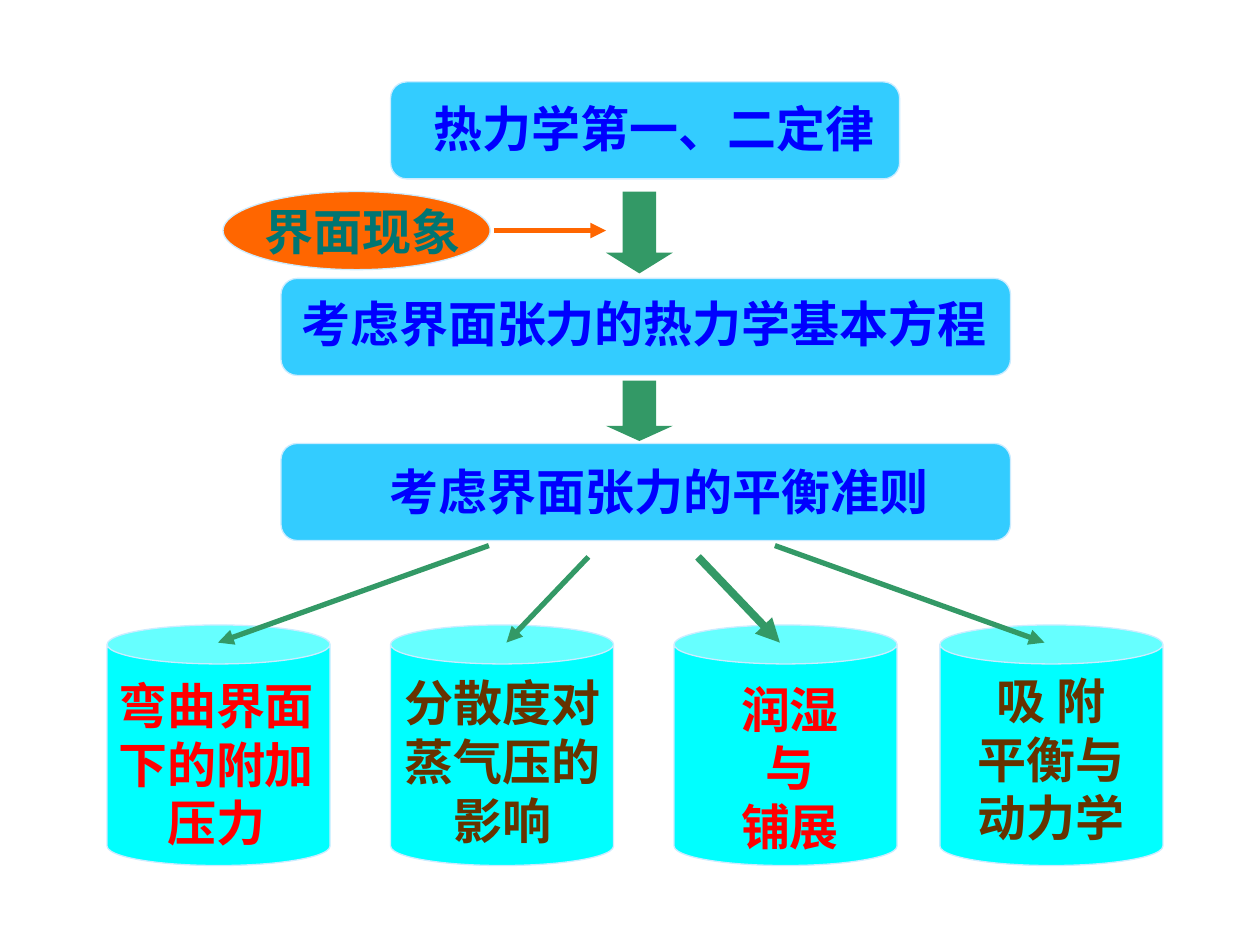
from lxml import etree
from pptx import Presentation
from pptx.dml.color import RGBColor
from pptx.enum import shapes, text
from pptx.oxml import ns
from pptx.util import Inches, Pt

WHITE = RGBColor(0xFF, 0xFF, 0xFF)
OUTLINE = RGBColor(0xCC, 0xEC, 0xFF)
SKY = RGBColor(0x33, 0xCC, 0xFF)
CYAN = RGBColor(0x00, 0xFF, 0xFF)
ORANGE = RGBColor(0xFF, 0x66, 0x00)
GREEN = RGBColor(0x33, 0x99, 0x66)
TEAL = RGBColor(0x00, 0x75, 0x72)
BLUE = RGBColor(0x00, 0x00, 0xFF)
RED = RGBColor(0xFF, 0x00, 0x00)
BROWN = RGBColor(0x66, 0x33, 0x00)

SERIF = "Times New Roman"
SANS = "Noto Sans CJK SC"
PRESET = shapes.MSO_SHAPE


def add_block(slide, preset, box, fill, outline=None, adjustments=()):
    """Add a filled preset shape, with a thin outline if a colour is given."""
    shape = slide.shapes.add_shape(preset, *map(Inches, box))
    shape.shadow.inherit = False
    shape.fill.solid()
    shape.fill.fore_color.rgb = fill
    if outline is None:
        shape.line.fill.background()
    else:
        shape.line.color.rgb = outline
        shape.line.width = Pt(0.75)
    for index, value in enumerate(adjustments):
        shape.adjustments[index] = value


def add_label(slide, box, lines, color, font_name=SERIF, wrap=False):
    """Add a bold centred label with one paragraph per line."""
    frame = slide.shapes.add_textbox(*map(Inches, box)).text_frame
    frame.word_wrap = wrap
    frame.auto_size = text.MSO_AUTO_SIZE.SHAPE_TO_FIT_TEXT
    frame.vertical_anchor = text.MSO_ANCHOR.MIDDLE
    for index, line in enumerate(lines):
        paragraph = frame.add_paragraph() if index else frame.paragraphs[0]
        paragraph.alignment = text.PP_ALIGN.CENTER
        run = paragraph.add_run()
        run.text = line
        run.font.name = font_name
        run.font.size = Pt(28)
        run.font.bold = True
        run.font.color.rgb = color


def add_arrow(slide, start, end, color, width=3):
    """Add a straight line with a triangular head at its end."""
    connector = slide.shapes.add_connector(
        shapes.MSO_CONNECTOR.STRAIGHT, *map(Inches, start + end))
    connector.line.color.rgb = color
    connector.line.width = Pt(width)
    etree.SubElement(connector.line._get_or_add_ln(), ns.qn("a:tailEnd"), type="triangle")
    etree.SubElement(connector._element.spPr, ns.qn("a:effectLst"))


def add_steps(slide):
    """Add the three stacked steps and the block arrows between them."""
    steps = [
        ((3.1, 0.65, 4.04, 0.77), (2.7, 0.73, 4.98, 0.57), "热力学第一、二定律", True),
        ((2.23, 2.21, 5.79, 0.77), (2.27, 2.28, 5.68, 0.57), "考虑界面张力的热力学基本方程", False),
        ((2.23, 3.52, 5.79, 0.77), (2.98, 3.61, 4.5, 0.57), "考虑界面张力的平衡准则", False),
    ]
    for block, label, wording, wrap in steps:
        add_block(slide, PRESET.FLOWCHART_ALTERNATE_PROCESS, block, SKY, OUTLINE)
        add_label(slide, label, [wording], BLUE, wrap=wrap)
    for top, height, head in [(1.52, 0.65, 0.31), (3.02, 0.48, 0.25)]:
        add_block(slide, PRESET.DOWN_ARROW, (4.81, top, 0.53, height), GREEN,
                  adjustments=(0.5, head))


def add_phenomenon(slide):
    """Add the side ellipse and its arrow into the flow."""
    add_block(slide, PRESET.OVAL, (1.77, 1.52, 2.12, 0.62), ORANGE, OUTLINE)
    add_label(slide, (1.99, 1.55, 1.77, 0.57), ["界面现象"], TEAL, SANS)
    add_arrow(slide, (3.92, 1.83), (4.81, 1.83), ORANGE)


def add_applications(slide):
    """Add the four cylinders, their labels and the arrows that reach them."""
    applications = [
        (0.85, (0.83, 5.31, 1.77, 1.5), ["弯曲界面下的附加压力"], RED, True,
         (3.88, 4.33), (1.73, 5.1), 3),
        (3.1, (3.07, 5.29, 1.83, 1.5), ["分散度对蒸气压的影响"], BROWN, True,
         (4.67, 4.42), (4.02, 5.1), 3),
        (5.35, (5.78, 5.34, 0.98, 1.5), ["润湿", "与", "铺展"], RED, False,
         (5.54, 4.42), (6.19, 5.1), 4.5),
        (7.46, (7.47, 5.27, 1.74, 1.5), ["吸 附", "平衡与动力学"], BROWN, True,
         (6.15, 4.33), (8.29, 5.1), 3),
    ]
    for left, label, lines, color, wrap, start, end, width in applications:
        add_block(slide, PRESET.CAN, (left, 4.96, 1.77, 1.91), CYAN, OUTLINE, (0.175,))
        add_label(slide, label, lines, color, wrap=wrap)
        add_arrow(slide, start, end, GREEN, width)


def main():
    """Build the slide and save it."""
    presentation = Presentation()
    presentation.slide_width = Inches(10)
    presentation.slide_height = Inches(7.5)
    slide = presentation.slides.add_slide(presentation.slide_layouts[6])
    slide.background.fill.solid()
    slide.background.fill.fore_color.rgb = WHITE
    add_steps(slide)
    add_phenomenon(slide)
    add_applications(slide)
    presentation.save("out.pptx")


if __name__ == "__main__":
    main()
